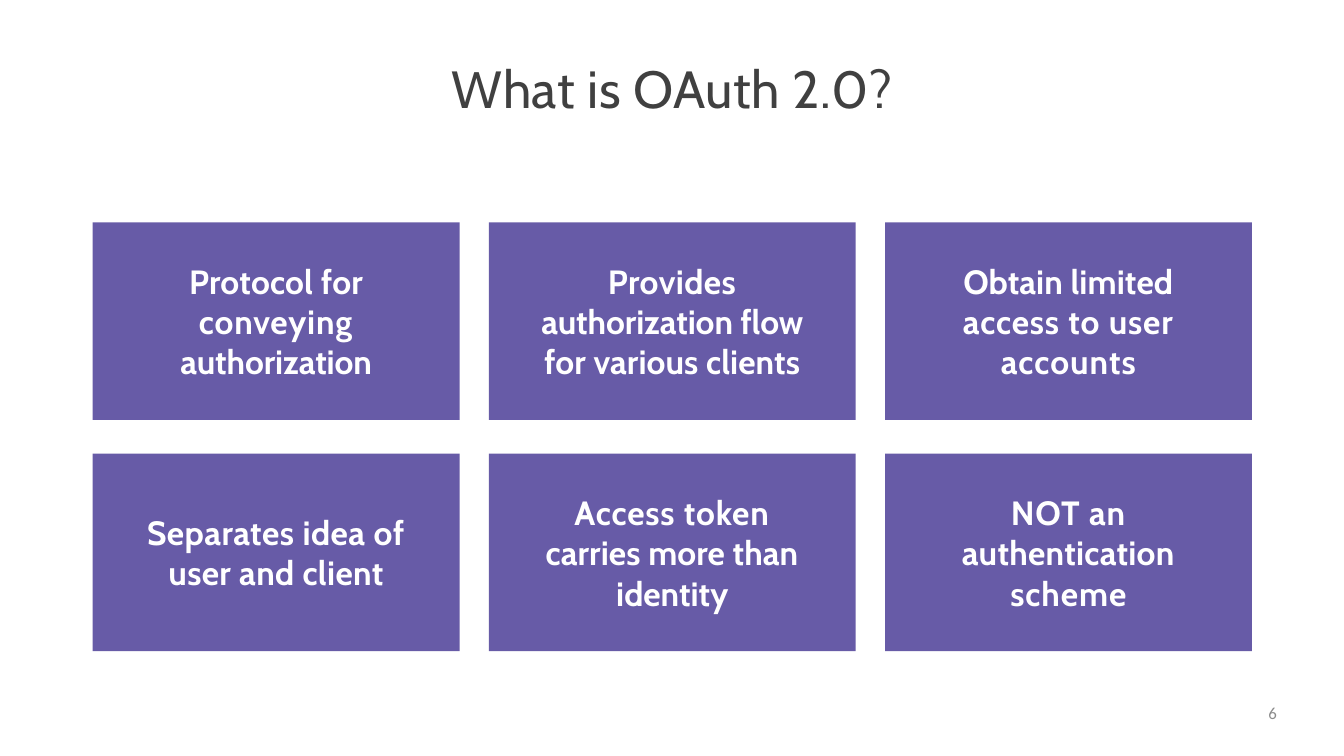
from dataclasses import dataclass

from pptx import Presentation
from pptx import util as u
from pptx.dml.color import RGBColor
from pptx.enum import shapes, text
from pptx.slide import Slide
from pptx.text.text import TextFrame

PURPLE = "675BA7"
WHITE = "FFFFFF"
CARD_WIDTH, CARD_HEIGHT = 5.46, 2.94
LEFT, TOP = 1.38, 3.31
COLUMN_STEP, ROW_STEP = 5.895, 3.44
COLUMNS = 3


@dataclass(frozen=True)
class Line:
    wording: str
    spacing: float = 0


@dataclass(frozen=True)
class Card:
    lines: tuple[Line, ...]


CARDS = [
    Card((Line("Protocol for", 0.2), Line("conveying", 0.9), Line("authorization", -0.1))),
    Card((Line("Provides", 0.5), Line("authorization flow", -0.1), Line("for various clients", 0.1))),
    Card((Line("Obtain limited", 0.1), Line("access to user", 0.9), Line("accounts", 1.1))),
    Card((Line("Separates idea of", 0.5), Line("user and client", 0.4))),
    Card((Line("Access token", 0.9), Line("carries more than", 0.1), Line("identity"))),
    Card((Line("NOT an", 0.9), Line("authentication", 0.3), Line("scheme", 1))),
]


def rgb(value: str) -> RGBColor:
    return RGBColor.from_string(value)


def write(frame: TextFrame, lines: tuple[Line, ...], *, size: float, color: str,
          font: str = "Cabin", bold: bool = False,
          align: text.PP_ALIGN = text.PP_ALIGN.CENTER,
          anchor: text.MSO_ANCHOR = text.MSO_ANCHOR.MIDDLE,
          wrap: bool = True) -> None:
    frame.auto_size = text.MSO_AUTO_SIZE.NONE
    frame.word_wrap = wrap
    frame.vertical_anchor = anchor
    frame.margin_left = frame.margin_right = 0
    frame.margin_top = frame.margin_bottom = 0
    paragraph = frame.paragraphs[0]
    paragraph.alignment = align
    paragraph.font.size = u.Pt(size)
    for index, line in enumerate(lines):
        if index:
            paragraph.add_line_break()
        run = paragraph.add_run()
        run.text = line.wording
        run.font.name = font
        run.font.size = u.Pt(size)
        run.font.bold = bold
        run.font.color.rgb = rgb(color)
        run.font._element.set("spc", str(round(line.spacing * 100)))


def draw_card(slide: Slide, card: Card, row: int, column: int) -> None:
    panel = slide.shapes.add_shape(
        shapes.MSO_SHAPE.RECTANGLE,
        u.Inches(LEFT + column * COLUMN_STEP), u.Inches(TOP + row * ROW_STEP),
        u.Inches(CARD_WIDTH), u.Inches(CARD_HEIGHT))
    panel.shadow.inherit = False
    panel.fill.solid()
    panel.fill.fore_color.rgb = rgb(PURPLE)
    panel.line.fill.background()
    write(panel.text_frame, card.lines, size=36, color=WHITE, bold=True)


deck = Presentation()
deck.slide_width, deck.slide_height = u.Inches(20), u.Inches(11.25)
slide = deck.slides.add_slide(deck.slide_layouts.get_by_name("Title Only"))

heading = slide.shapes.title
heading.left, heading.top = u.Inches(6.69), u.Inches(0.82)
heading.width, heading.height = u.Inches(6.63), u.Inches(0.96)
write(heading.text_frame, (Line("What is OAuth 2.0?", 0.6),),
      size=56, color="404040", wrap=False)

for position, card in enumerate(CARDS):
    draw_card(slide, card, *divmod(position, COLUMNS))

page_number = slide.shapes.add_textbox(
    u.Inches(14.4), u.Inches(10.46), u.Inches(4.6), u.Inches(0.56))
write(page_number.text_frame, (Line("6"),), size=18, color="8C8C8C", font="Calibri",
      align=text.PP_ALIGN.RIGHT, anchor=text.MSO_ANCHOR.TOP)

deck.save("out.pptx")
